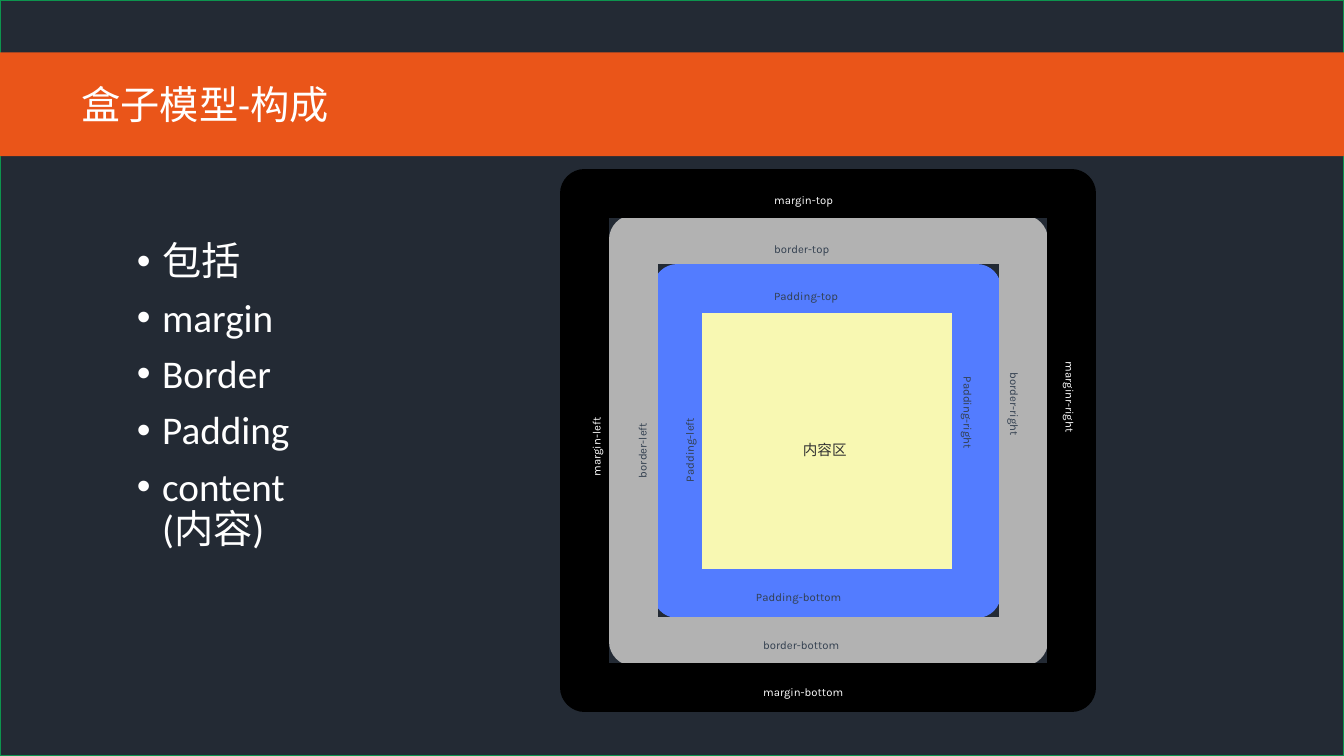
from typing import NamedTuple, Optional

from pptx import Presentation
from pptx.dml.color import RGBColor
from pptx.enum.shapes import MSO_SHAPE
from pptx.enum.text import MSO_ANCHOR, MSO_AUTO_SIZE, PP_ALIGN
from pptx.oxml.ns import qn
from pptx.util import Inches, Pt

RECT = MSO_SHAPE.RECTANGLE
TOP, MIDDLE = MSO_ANCHOR.TOP, MSO_ANCHOR.MIDDLE
LEFT, CENTER = PP_ALIGN.LEFT, PP_ALIGN.CENTER
FIT_SHAPE = MSO_AUTO_SIZE.SHAPE_TO_FIT_TEXT

NAVY = RGBColor(0x23, 0x2A, 0x34)
GREEN = RGBColor(0x0D, 0x94, 0x4E)
ORANGE = RGBColor(0xEA, 0x55, 0x19)
WHITE = RGBColor(0xFF, 0xFF, 0xFF)
CREAM = RGBColor(0xF8, 0xF8, 0xB2)
BLUE = RGBColor(0x53, 0x7C, 0xFF)
GRAY = RGBColor(0xB2, 0xB2, 0xB2)
BLACK = RGBColor(0x00, 0x00, 0x00)
SLATE = RGBColor(0x32, 0x3F, 0x4F)
CHARCOAL = RGBColor(0x33, 0x33, 0x33)

SUBSCRIPT = "-25000"
LABEL_HEIGHT = 0.33


class Box(NamedTuple):
    left: float
    top: float
    width: float
    height: float
    fill: Optional[RGBColor] = None
    line: Optional[RGBColor] = None
    weight: float = 35


class Label(NamedTuple):
    text: str
    left: float
    top: float
    width: float
    rotation: int = 0
    color: RGBColor = SLATE


BACKDROP = Box(0, 0, 13.33, 7.5, NAVY, GREEN, 1)
BANNER = Box(0, 0.52, 13.33, 1.03, ORANGE)
CONTENT = Box(6.92, 3.1, 2.52, 2.55, CREAM)
RINGS = [
    Box(6.72, 2.86, 2.97, 3.03, line=BLUE),
    Box(6.28, 2.38, 3.87, 3.98, line=GRAY),
    Box(5.8, 1.92, 4.83, 4.9, line=BLACK),
]
LABELS = [
    Label("Padding-top", 7.58, 2.69, 1.24),
    Label("Padding-bottom", 7.4, 5.68, 1.57),
    Label("Padding-left", 6.14, 4.1, 1.23, 270),
    Label("Padding-right", 9.01, 4.15, 1.35, 90),
    Label("border-top", 7.58, 2.22, 1.11),
    Label("border-right", 9.53, 4.05, 1.23, 90),
    Label("border-left", 5.73, 4.12, 1.11, 270),
    Label("border-bottom", 7.47, 6.15, 1.45),
    Label("margin-top", 7.58, 1.74, 1.15, 0, WHITE),
    Label("marginr-right", 10.03, 3.99, 1.33, 90, WHITE),
    Label("margin-bottom", 7.47, 6.62, 1.48, 0, WHITE),
    Label("margin-left", 5.26, 4.09, 1.14, 270, WHITE),
]
BULLETS = [["包括"], ["margin"], ["Border"], ["Padding"], ["content ", "(内容)"]]


def add_box(s, box: Box):
    sp = s.shapes.add_shape(RECT, *map(Inches, box[:4]))
    sp.shadow.inherit = False
    if box.fill is None:
        sp.fill.background()
    else:
        sp.fill.solid()
        sp.fill.fore_color.rgb = box.fill
    if box.line is None:
        sp.line.fill.background()
    else:
        sp.line.color.rgb = box.line
        sp.line.width = Pt(box.weight)
    return sp


def add_run(p, text: str, size: float, color: RGBColor, font: str = "Calibri"):
    r = p.add_run()
    r.text = text
    r.font.size = Pt(size)
    r.font.name = font
    r.font.color.rgb = color
    return r


def add_subscript(p, text: str, size: float, color: RGBColor) -> None:
    r = add_run(p, text, size, color, "Karla")
    r.font._element.set("baseline", SUBSCRIPT)


def add_label(s, label: Label) -> None:
    sp = s.shapes.add_textbox(Inches(label.left), Inches(label.top),
                              Inches(label.width), Inches(LABEL_HEIGHT))
    sp.rotation = label.rotation
    tf = sp.text_frame
    tf.word_wrap = False
    tf.auto_size = FIT_SHAPE
    add_subscript(tf.paragraphs[0], label.text, 14, label.color)


def add_title(s, text: str) -> None:
    sp = s.shapes.title
    sp.left, sp.top, sp.width, sp.height = map(Inches, (0.71, 0.75, 7.78, 0.57))
    s.shapes._spTree.append(sp._element)  # bring in front of the banner
    tf = sp.text_frame
    tf.word_wrap = True
    tf.auto_size = FIT_SHAPE
    tf.vertical_anchor = TOP
    p = tf.paragraphs[0]
    p.alignment = LEFT
    add_run(p, text, 28, WHITE)


def add_bullets(s, items: list[list[str]]) -> None:
    sp = s.shapes.add_textbox(*map(Inches, (1.26, 2.35, 2.68, 4.33)))
    tf = sp.text_frame
    tf.word_wrap = True
    for i, lines in enumerate(items):
        p = tf.add_paragraph() if i else tf.paragraphs[0]
        p.line_spacing = 0.9
        p.space_before = Pt(10)
        pPr = p._p.get_or_add_pPr()
        pPr.set("marL", str(Inches(0.25)))
        pPr.set("indent", str(Inches(-0.25)))
        font = pPr.makeelement(qn("a:buFont"), {"typeface": "Arial"})
        bullet = pPr.makeelement(qn("a:buChar"), {"char": "•"})
        pPr.extend([font, bullet])
        for j, line in enumerate(lines):
            if j:
                p.add_line_break()
            add_run(p, line, 28, WHITE)


def main() -> None:
    prs = Presentation()
    prs.slide_width, prs.slide_height = Inches(13.33), Inches(7.5)
    s = prs.slides.add_slide(prs.slide_layouts[5])

    # Background, title and list
    add_box(s, BACKDROP)
    add_box(s, BANNER)
    add_title(s, "盒子模型-构成")
    add_bullets(s, BULLETS)

    # Box model, from the content area outwards
    tf = add_box(s, CONTENT).text_frame
    tf.word_wrap = False
    tf.vertical_anchor = MIDDLE
    p = tf.paragraphs[0]
    p.alignment = CENTER
    add_subscript(p, "内容区", 18, CHARCOAL)
    for ring in RINGS:
        add_box(s, ring)

    # Side names
    for label in LABELS:
        add_label(s, label)

    prs.save("out.pptx")


if __name__ == "__main__":
    main()
